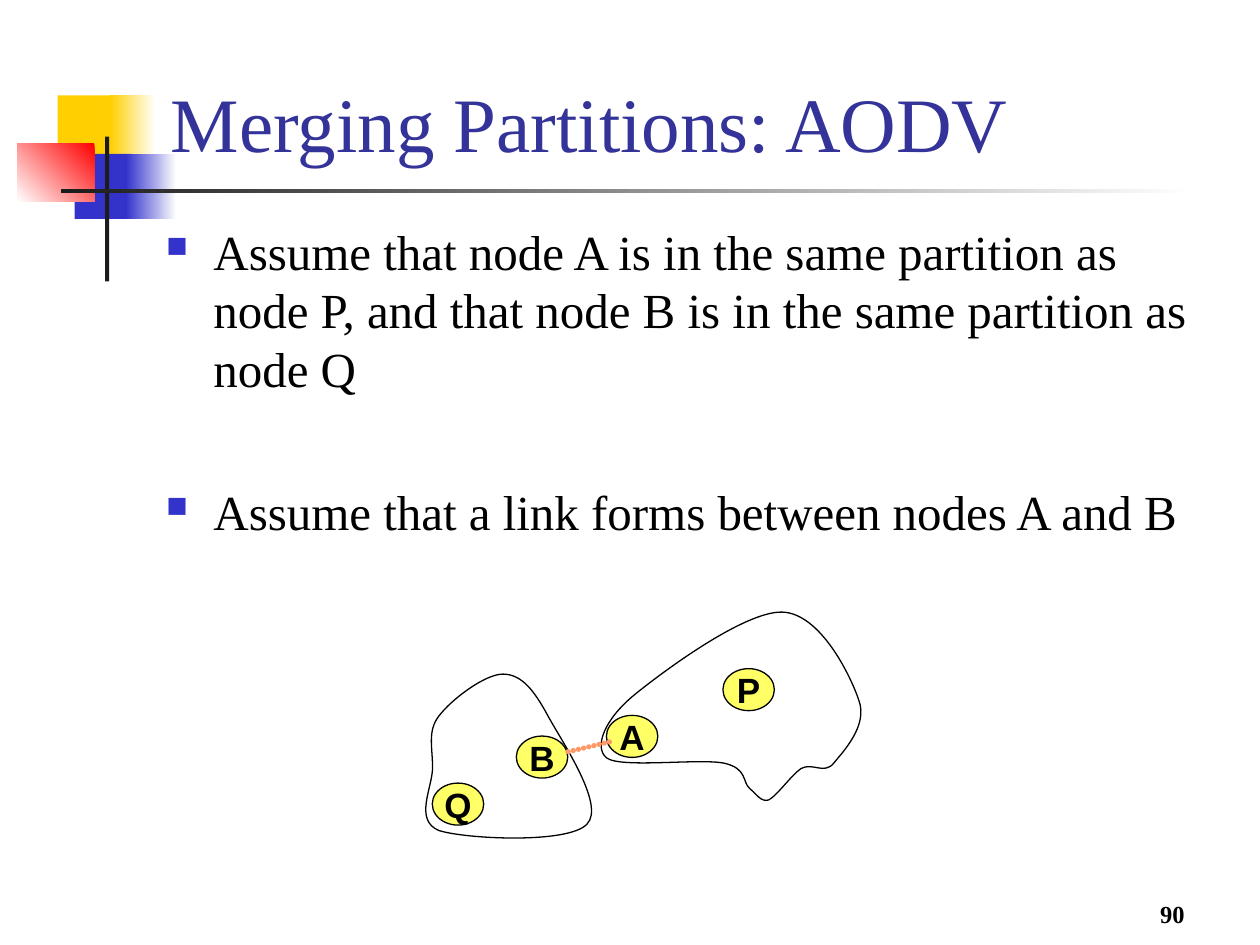
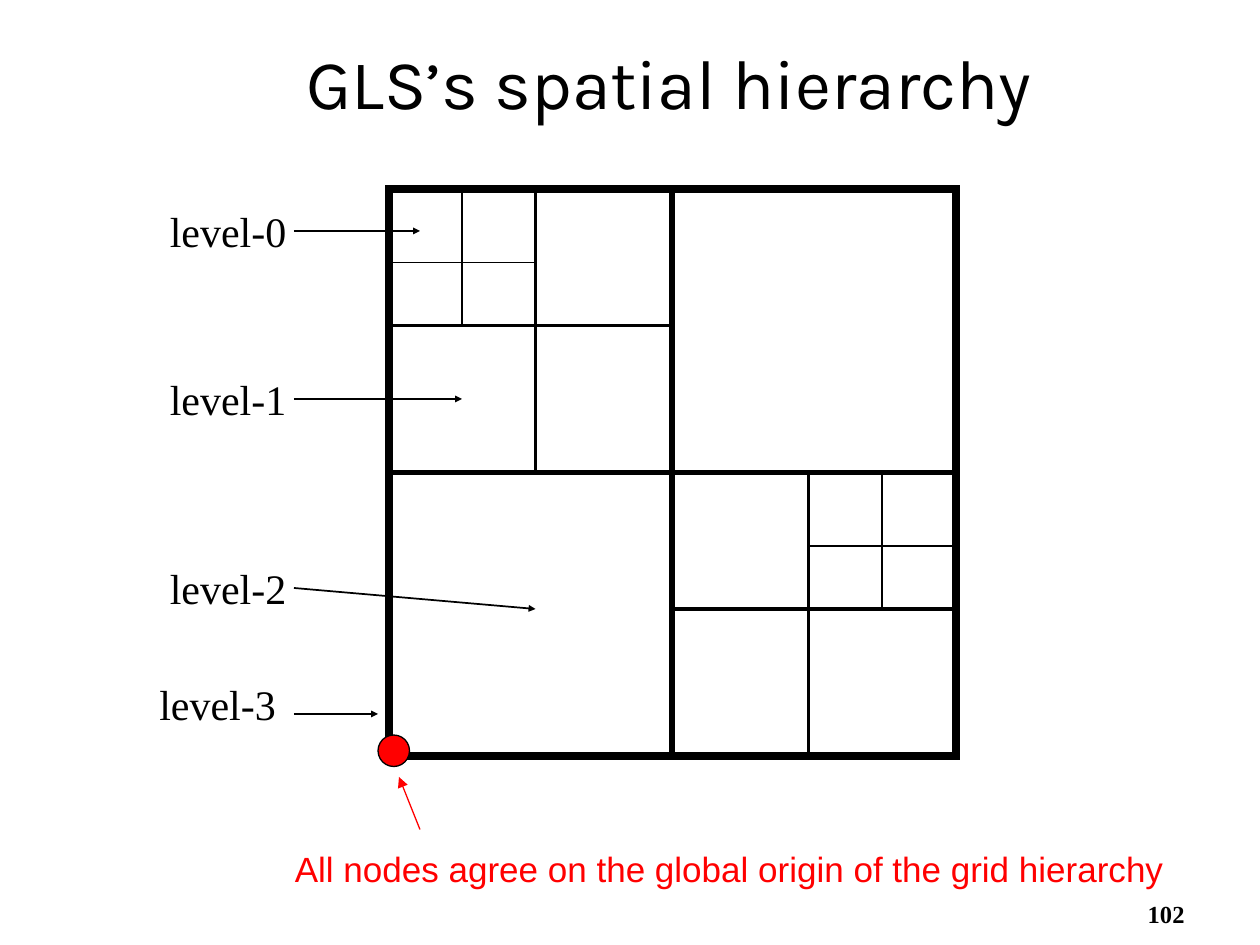
from lxml import etree
from pptx import Presentation
from pptx.dml.color import RGBColor
from pptx.enum.shapes import MSO_CONNECTOR, MSO_SHAPE
from pptx.enum.text import MSO_ANCHOR, PP_ALIGN
from pptx.oxml.ns import qn
from pptx.util import Inches, Pt

RECT, OVAL = MSO_SHAPE.RECTANGLE, MSO_SHAPE.OVAL
STRAIGHT = MSO_CONNECTOR.STRAIGHT
TOP, MIDDLE, BOTTOM = MSO_ANCHOR.TOP, MSO_ANCHOR.MIDDLE, MSO_ANCHOR.BOTTOM
LEFT, CENTER, RIGHT = PP_ALIGN.LEFT, PP_ALIGN.CENTER, PP_ALIGN.RIGHT

SLIDE_WIDTH, SLIDE_HEIGHT = Inches(10), Inches(7.5)
COLUMNS, ROWS = 120, 90

BLACK, WHITE, RED = "000000", "FFFFFF", "FF0000"
GOLD, BLUE, INK, TITLE_BLUE = "FFCF01", "3333CC", "1C1C1C", "333399"
NODE_YELLOW, LINK_ORANGE = "FFFF66", "FF9966"
SERIF, SANS, DISPLAY = "Times New Roman", "Arial", "Karla"


def rgb(code):
    return RGBColor.from_string(code)


def col(count):
    return round(SLIDE_WIDTH * count / COLUMNS)


def row(count):
    return round(SLIDE_HEIGHT * count / ROWS)


class Deck:
    def __init__(self):
        self.presentation = Presentation()
        self.presentation.slide_width = SLIDE_WIDTH
        self.presentation.slide_height = SLIDE_HEIGHT
        self.shapes = None

    def new_slide(self, number):
        layout = self.presentation.slide_layouts[6]
        self.shapes = self.presentation.slides.add_slide(layout).shapes
        self.text(number, (89, 83, 25, 6), 14, bold=True, align=RIGHT, anchor=BOTTOM)

    def paint(self, shape, fill, line, weight):
        shape.shadow.inherit = False
        if fill:
            shape.fill.solid()
            shape.fill.fore_color.rgb = rgb(fill)
        else:
            shape.fill.background()
        if line:
            shape.line.color.rgb = rgb(line)
            shape.line.width = Pt(weight)
            etree.SubElement(shape.line._get_or_add_ln(), qn("a:miter"), lim="800000")
        else:
            shape.line.fill.background()

    def shape(self, kind, place, fill=None, line=None, weight=0.75):
        x, y, width, height = place
        shape = self.shapes.add_shape(kind, col(x), row(y), col(width), row(height))
        self.paint(shape, fill, line, weight)
        return shape

    def fade(self, place, start, end, angle=180):
        block = self.shape(RECT, place)
        block.fill.gradient()
        block.fill.gradient_angle = angle
        for stop, code in zip(block.fill.gradient_stops, (start, end)):
            stop.color.rgb = rgb(code)

    def outline(self, start, curves):
        builder = self.shapes.build_freeform(col(start[0]), row(start[1]))
        builder.add_line_segments([
            (col(curve[i]), row(curve[i + 1])) for curve in curves for i in (0, 2, 4)
        ], close=True)
        region = builder.convert_to_shape()
        self.paint(region, None, BLACK, 0.75)
        segments = list(region._element.iter(qn("a:lnTo")))
        for first in range(0, len(segments), 3):
            bend = etree.Element(qn("a:cubicBezTo"))
            segments[first].addprevious(bend)
            for segment in segments[first:first + 3]:
                bend.append(segment[0])
                segment.getparent().remove(segment)

    def line(self, start, end, color=BLACK, weight=1, head=None, dotted=False):
        line = self.shapes.add_connector(
            STRAIGHT, col(start[0]), row(start[1]), col(end[0]), row(end[1]))
        line.line.color.rgb = rgb(color)
        line.line.width = Pt(weight)
        properties = line.line._get_or_add_ln()
        if dotted:
            properties.set("cap", "rnd")
            dash = etree.SubElement(properties, qn("a:custDash"))
            etree.SubElement(dash, qn("a:ds"), d="1000", sp="100000")
        if head:
            etree.SubElement(properties, qn("a:tailEnd"), type="triangle", w=head, len=head)
        etree.SubElement(line._element.spPr, qn("a:effectLst"))

    def run(self, paragraph, words, size, font=SERIF, color=BLACK, bold=False):
        run = paragraph.add_run()
        run.text = words
        run.font.size = Pt(size)
        run.font.name = font
        run.font.bold = bold
        run.font.color.rgb = rgb(color)

    def frame(self, place, anchor=TOP, wrap=True):
        x, y, width, height = place
        frame = self.shapes.add_textbox(
            col(x), row(y), col(width), row(height)).text_frame
        frame.word_wrap = wrap
        frame.vertical_anchor = anchor
        return frame

    def text(self, words, place, size, font=SERIF, color=BLACK, bold=False,
             align=LEFT, anchor=TOP, wrap=True):
        paragraph = self.frame(place, anchor, wrap).paragraphs[0]
        paragraph.alignment = align
        self.run(paragraph, words, size, font, color, bold)

    def bullets(self, items, place, size, leading, gap):
        frame = self.frame(place)
        for index, words in enumerate(items):
            paragraph = frame.add_paragraph() if index else frame.paragraphs[0]
            properties = paragraph._p.get_or_add_pPr()
            properties.set("marL", str(col(4.5)))
            properties.set("indent", str(-col(4.5)))
            tint = etree.SubElement(properties, qn("a:buClr"))
            etree.SubElement(tint, qn("a:srgbClr"), val=BLUE)
            etree.SubElement(properties, qn("a:buSzPct"), val="60000")
            etree.SubElement(properties, qn("a:buChar"), char="■")
            paragraph.line_spacing = Pt(leading)
            if index:
                paragraph.space_before = Pt(gap)
            self.run(paragraph, words, size)

    def node(self, letter, x, y):
        frame = self.shape(OVAL, (x, y, 4.9, 4), NODE_YELLOW, BLACK).text_frame
        frame.word_wrap = False
        frame.vertical_anchor = MIDDLE
        frame.paragraphs[0].alignment = CENTER
        self.run(frame.paragraphs[0], letter, 20, SANS, bold=True)

    def quarter(self, square, middle, weight):
        left, top, right, bottom = square
        x, y = middle
        self.line((x, top), (x, bottom), weight=weight)
        self.line((left, y), (right, y), weight=weight)

    def ornament(self):
        self.shape(RECT, (5.5, 9.1, 5.8, 6.2), GOLD)
        self.fade((10.5, 9.1, 4.3, 6.2), WHITE, GOLD)
        self.shape(RECT, (7.1, 14.65, 5.5, 6.2), BLUE)
        self.fade((12, 14.65, 4.8, 6.2), WHITE, BLUE)
        self.fade((1.65, 13.65, 7.35, 5.55), RED, WHITE, 225)
        self.shape(RECT, (10, 13, 0.4, 13.8), INK)
        self.fade((5.8, 18.03, 108, 0.4), WHITE, INK)


def merging_partitions(deck):
    deck.new_slide("90")
    deck.ornament()
    deck.text("Merging Partitions: AODV", (15.1, 5.8, 102.2, 10.8), 44,
              color=TITLE_BLUE, anchor=BOTTOM)
    deck.bullets((
        "Assume that node A is in the same partition as node P, "
        "and that node B is in the same partition as node Q",
        "Assume that a link forms between nodes A and B",
    ), (14.65, 20.5, 102, 65.3), 28, leading=33.5, gap=48)
    deck.outline((41.8, 68.2), (
        (43, 66.6, 46.2, 64.2, 47.9, 64.2),
        (49.7, 64.2, 50.9, 65.8, 52.2, 68.2),
        (53.5, 70.6, 57.7, 76.7, 55.9, 78.5),
        (54.1, 80.4, 44.3, 79.9, 41.8, 79.1),
        (39.4, 78.1, 41.2, 75, 41.2, 73.1),
        (41.2, 71.2, 40.7, 69.6, 41.8, 68.2),
    ))
    deck.outline((60.4, 66.2), (
        (63.1, 64, 70.9, 58.2, 74.5, 58.3),
        (78.1, 58.4, 81, 64.3, 81.8, 66.7),
        (82.7, 69.1, 80.3, 71.6, 79.4, 72.7),
        (78.5, 73.8, 77.4, 72.6, 76.3, 73.2),
        (75.4, 73.8, 74, 75.8, 73.2, 76.2),
        (72.5, 76.4, 72.1, 75.7, 71.4, 75.1),
        (70.7, 74.5, 71.2, 73.2, 69, 72.7),
        (66.7, 72.2, 59.2, 73.2, 57.8, 72.2),
        (56.5, 71.2, 57.6, 68.5, 60.4, 66.2),
    ))
    for letter, x, y in (("A", 57.75, 68.13), ("P", 68.85, 63.68),
                         ("Q", 41.17, 74.58), ("B", 49.17, 70.1)):
        deck.node(letter, x, y)
    deck.line((54.1, 71.6), (58.3, 70.6), LINK_ORANGE, 3, dotted=True)


def spatial_hierarchy(deck):
    deck.new_slide("102")
    deck.text("GLS’s spatial hierarchy", (28, 4.4, 72, 8), 40,
              font=DISPLAY, anchor=BOTTOM)
    deck.shape(RECT, (37.05, 18, 54, 54), line=BLACK, weight=4.5)
    for square, middle, weight in (
        ((37, 18, 91, 72), (64, 45), 3),
        ((37, 18, 64, 45), (51, 31), 2.25),
        ((64, 45, 91, 72), (77, 58), 2.25),
        ((37, 18, 51, 31), (44, 25), 1),
        ((77, 45, 91, 58), (84, 52), 1),
    ):
        deck.quarter(square, middle, weight)
    levels = (
        ((15, 19), 22, (40, 22)),
        ((15, 35), 38, (44, 38)),
        ((15, 53), 56, (51, 58)),
        ((14, 64), 68, (36, 68)),
    )
    for level, (corner, arrow_row, target) in enumerate(levels):
        deck.text(f"level-{level}", (*corner, 13.5, 6), 24, wrap=False)
        deck.line((28, arrow_row), target, head="sm")
    deck.shape(OVAL, (36, 70, 3, 3), RED, BLACK)
    deck.line((40, 79), (38, 74), RED, 0.75, head="med")
    deck.text("All nodes agree on the global origin of the grid hierarchy",
              (26.9, 80.1, 85.2, 5.3), 20, SANS, RED, wrap=False)


def main():
    deck = Deck()
    merging_partitions(deck)
    spatial_hierarchy(deck)
    deck.presentation.save("out.pptx")


if __name__ == "__main__":
    main()
